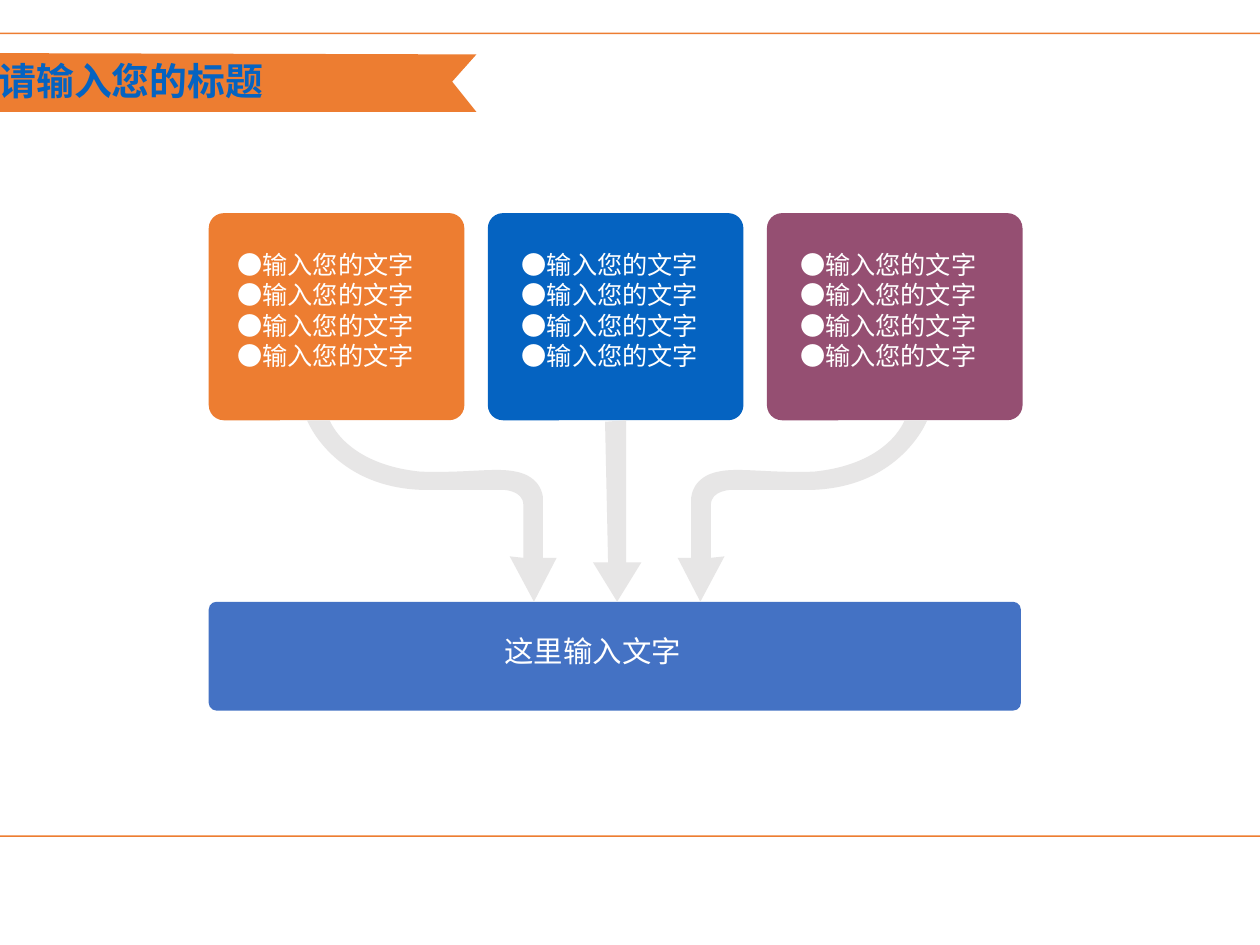
from lxml import etree
from pptx import Presentation
from pptx.dml.color import RGBColor
from pptx.enum import shapes, text
from pptx.oxml import ns
from pptx.util import Inches, Pt

COLORS = {
    "orange": "ED7D31", "blue": "0563C1", "purple": "954F72",
    "base": "4472C4", "arrow": "E7E6E6", "white": "FFFFFF",
}
CJK_FONT = "Noto Sans CJK SC"
CENTER_X = 4.08
CARD_LEFT, CARD_TOP, CARD_WIDTH, CARD_HEIGHT = 1.38, 1.41, 1.69, 1.37
CARD_STEP = 1.845
CARDS = [("orange", 1.49), ("blue", 3.37), ("purple", 5.21)]
CARD_LINES = ["●输入您的文字"] * 4

# Each step of an outline holds one point for a line, or three for a curve
RIBBON = [[(-0.49, 0.74)], [(3.15, 0.74)], [(2.99, 0.54)], [(3.15, 0.36)],
          [(-0.48, 0.35)]]
STRAIGHT_ARROW = [[(4, 2.79)], [(4.02, 3.72)], [(3.92, 3.72)], [(4.08, 3.98)],
                  [(4.24, 3.72)], [(4.14, 3.72)], [(4.14, 2.78)]]
CURVED_ARROW = [
    [(2.03, 2.78)],
    [(2.03, 2.78), (2.22, 3.27), (2.89, 3.24)],
    [(3.1, 3.24), (3.32, 3.24), (3.32, 3.24)],
    [(3.32, 3.24), (3.46, 3.24), (3.46, 3.34)],
    [(3.46, 3.51), (3.46, 3.69), (3.46, 3.69)],
    [(3.37, 3.68)], [(3.53, 3.98)], [(3.68, 3.69)], [(3.59, 3.69)],
    [(3.59, 3.69), (3.59, 3.49), (3.59, 3.29)],
    [(3.57, 3.14), (3.41, 3.12), (3.41, 3.12)],
    [(3.28, 3.09), (3.09, 3.13), (2.78, 3.12)],
    [(2.28, 3.07), (2.18, 2.78), (2.18, 2.78)],
]


def color(name):
    return RGBColor.from_string(COLORS[name])


def paint(shape, fill, line=None):
    shape.shadow.inherit = False
    shape.fill.solid()
    shape.fill.fore_color.rgb = color(fill)
    if line:
        shape.line.color.rgb = color(line)
        shape.line.width = Pt(0.75)
    else:
        shape.line.fill.background()


def add_round_box(slide, left, top, width, height, radius, fill, line=None):
    shape = slide.shapes.add_shape(
        shapes.MSO_SHAPE.ROUNDED_RECTANGLE,
        Inches(left), Inches(top), Inches(width), Inches(height))
    shape.adjustments[0] = radius
    paint(shape, fill, line)


def add_outline(slide, steps, fill):
    start, *rest = [(Inches(x), Inches(y)) for step in steps for x, y in step]
    builder = slide.shapes.build_freeform(*start)
    builder.add_line_segments(rest, close=True)
    shape = builder.convert_to_shape()
    # Join the three segments of each curve step into one cubic curve
    segments = iter(list(shape._element.iter(ns.qn("a:lnTo"))))
    for step in steps[1:]:
        parts = [next(segments) for point in step]
        if len(parts) == 3:
            curve = etree.Element(ns.qn("a:cubicBezTo"))
            parts[0].addprevious(curve)
            for part in parts:
                curve.append(part[0])
                part.getparent().remove(part)
    paint(shape, fill)


def mirror(steps):
    return [[(2 * CENTER_X - x, y) for x, y in step] for step in steps]


def write_text(shape, lines, size, fill, font="Arial", bold=False,
               align=text.PP_ALIGN.LEFT):
    frame = shape.text_frame
    frame.word_wrap = True
    frame.auto_size = text.MSO_AUTO_SIZE.NONE
    frame.vertical_anchor = text.MSO_ANCHOR.TOP
    frame.margin_left = frame.margin_right = Inches(0.08)
    frame.margin_top = frame.margin_bottom = Inches(0.04)
    for index, line in enumerate(lines):
        paragraph = frame.add_paragraph() if index else frame.paragraphs[0]
        paragraph.alignment = align
        paragraph.line_spacing = Pt(size * 1.2)
        paragraph.space_before = Pt(0)
        run = paragraph.add_run()
        run.text = line
        run.font.size = Pt(size)
        run.font.name = font
        run.font.bold = bold
        run.font.color.rgb = color(fill)
        east_asian = etree.SubElement(run.font._element, ns.qn("a:ea"))
        east_asian.set("typeface", CJK_FONT)


def add_text(slide, left, top, width, height, lines, **style):
    box = slide.shapes.add_textbox(
        Inches(left), Inches(top), Inches(width), Inches(height))
    write_text(box, lines, **style)


def place_title(slide, title):
    shape = slide.shapes.title
    shape.left, shape.top = Inches(-0.09), Inches(0.34)
    shape.width, shape.height = Inches(2.69), Inches(0.38)
    write_text(shape, [title], size=18, fill="blue", bold=True)
    slide.shapes._spTree.append(shape._element)  # bring in front of the ribbon


def main():
    presentation = Presentation()
    presentation.slide_width = Inches(8.33)
    presentation.slide_height = Inches(6.25)
    slide = presentation.slides.add_slide(presentation.slide_layouts[5])

    # Frame, ribbon and title
    add_round_box(slide, -0.28, 0.22, 8.94, 5.31, 0.027, "white", line="orange")
    add_outline(slide, RIBBON, "orange")
    place_title(slide, "请输入您的标题")

    # Base box
    add_round_box(slide, CARD_LEFT, 3.98, 5.37, 0.72, 0.073, "base")

    # Cards with their arrows to the base
    arrows = [CURVED_ARROW, STRAIGHT_ARROW, mirror(CURVED_ARROW)]
    for index, ((fill, text_left), arrow) in enumerate(zip(CARDS, arrows)):
        add_round_box(slide, CARD_LEFT + index * CARD_STEP, CARD_TOP,
                      CARD_WIDTH, CARD_HEIGHT, 0.073, fill)
        add_outline(slide, arrow, "arrow")
        add_text(slide, text_left, 1.61, 1.44, 0.89, CARD_LINES,
                 size=12, fill="white", font=CJK_FONT)

    # Base label
    add_text(slide, 1.71, 4.15, 4.42, 0.32, ["这里输入文字"],
             size=14, fill="white", align=text.PP_ALIGN.CENTER)

    presentation.save("out.pptx")


if __name__ == "__main__":
    main()
